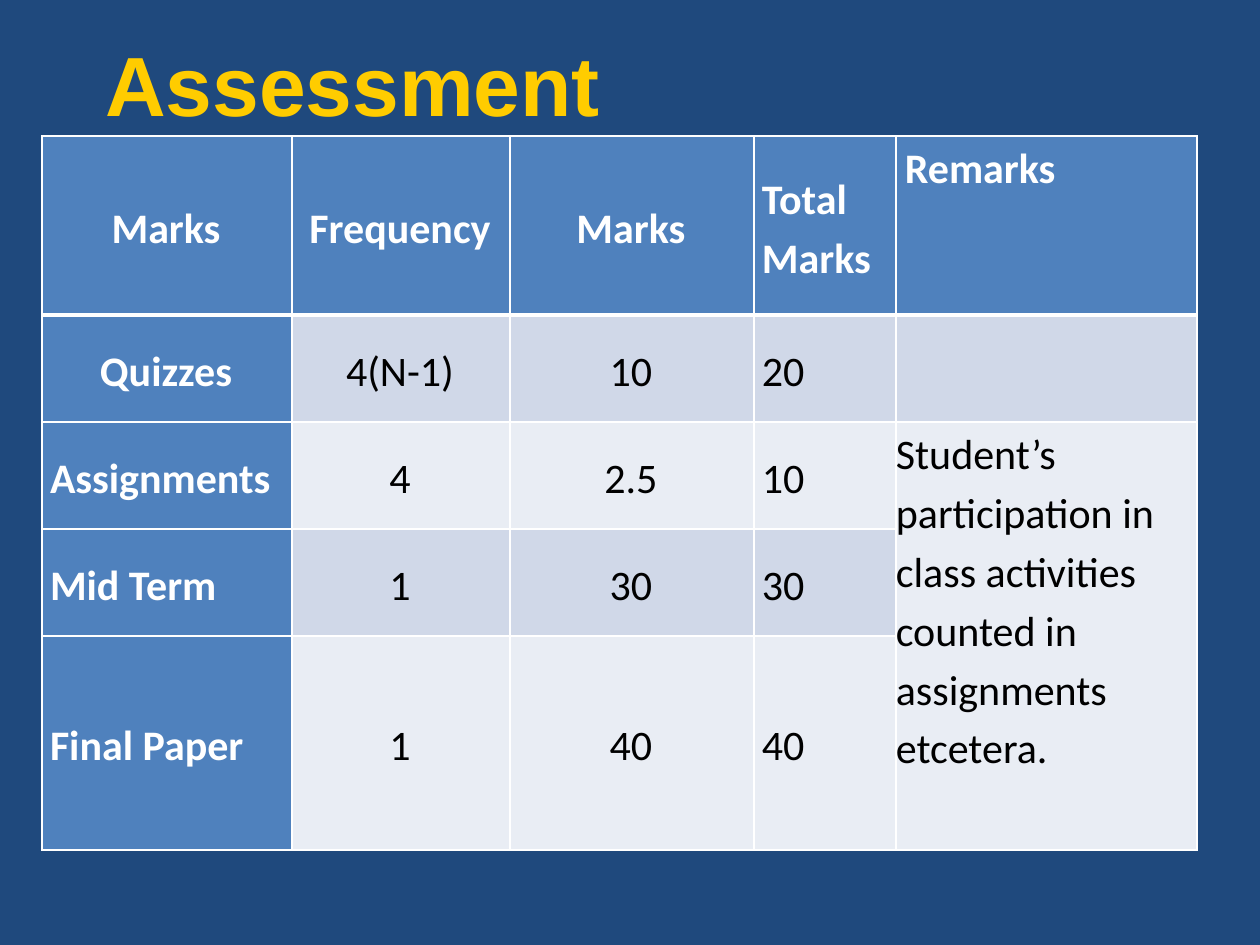
from dataclasses import dataclass

from lxml import etree
from pptx import Presentation
from pptx import util as u
from pptx.dml.color import RGBColor
from pptx.enum import text
from pptx.oxml import ns

PX_PER_INCH = 126


@dataclass(frozen=True)
class Theme:
    background: str = "1F497D"
    title: str = "FFCC00"
    header: str = "4F81BD"
    bands: tuple = ("D0D8E8", "E9EDF4")
    light: str = "FFFFFF"
    dark: str = "000000"
    title_font: str = "Arial"
    body_font: str = "Calibri"
    title_size: int = 48
    body_size: int = 24


THEME = Theme()
COLUMNS = (250, 218, 244, 142, 301)
ROWS = (179, 107, 107, 107, 214)
REMARKS = len(COLUMNS) - 1
CONTENT = (
    ("Marks", "Frequency", "Marks", "Total Marks", "Remarks"),
    ("Quizzes", "4(N-1)", "10", "20", ""),
    ("Assignments", "4", "2.5", "10",
     "Student’s participation in class activities counted in assignments etcetera."),
    ("Mid Term", "1", "30", "30", ""),
    ("Final Paper", "1", "40", "40", ""),
)


def px(length):
    return u.Emu(round(length * 914400 / PX_PER_INCH))


def set_margins(holder, left, top, right, bottom):
    holder.margin_left, holder.margin_top = px(left), px(top)
    holder.margin_right, holder.margin_bottom = px(right), px(bottom)


def add_span(para, words, font, size, color, bold):
    span = para.add_run()
    span.text = words
    span.font.name = font
    span.font.size = u.Pt(size)
    span.font.bold = bold
    span.font.color.rgb = RGBColor.from_string(color)


def add_title(slide, words):
    box = slide.shapes.add_textbox(px(105), px(32), px(499), px(104))
    frame = box.text_frame
    frame.word_wrap = True
    set_margins(frame, 0, 1, 0, 0)
    para = frame.paragraphs[0]
    add_span(para, words, THEME.title_font, THEME.title_size, THEME.title, True)


def set_borders(cell, row):
    # The rule under the header row is thicker than the others
    widths = {"L": 1, "R": 1, "T": 3 if row == 1 else 1, "B": 3 if row == 0 else 1}
    properties = cell._tc.get_or_add_tcPr()
    for side, width in widths.items():
        line = etree.SubElement(properties, ns.qn(f"a:ln{side}"), w=str(u.Pt(width)))
        fill = etree.SubElement(line, ns.qn("a:solidFill"))
        etree.SubElement(fill, ns.qn("a:srgbClr"), val=THEME.light)


def fill_cell(cell, row, column, words):
    heading = row == 0 or column == 0
    set_borders(cell, row)
    cell.fill.solid()
    color = THEME.header if heading else THEME.bands[(row - 1) % 2]
    cell.fill.fore_color.rgb = RGBColor.from_string(color)
    if not words:
        return

    # Remarks sit at the top without padding; other cells are centred vertically
    if column == REMARKS:
        set_margins(cell, 9 if heading else 0, 0, 0, 0)
    else:
        set_margins(cell, 8, 8, 10, 8)
        cell.vertical_anchor = text.MSO_ANCHOR.MIDDLE

    para = cell.text_frame.paragraphs[0]
    para.line_spacing = 1.15
    centred = column in (1, 2) or (column == 0 and row < 2)
    para.alignment = text.PP_ALIGN.CENTER if centred else text.PP_ALIGN.LEFT
    add_span(para, words, THEME.body_font, THEME.body_size,
             THEME.light if heading else THEME.dark, heading)


def add_marks_table(slide):
    table = slide.shapes.add_table(
        len(ROWS), len(COLUMNS), px(42), px(136), px(sum(COLUMNS)), px(sum(ROWS))).table
    for column, width in zip(table.columns, COLUMNS):
        column.width = px(width)
    for row, height in zip(table.rows, ROWS):
        row.height = px(height)
    for row, line in enumerate(CONTENT):
        for column, words in enumerate(line):
            fill_cell(table.cell(row, column), row, column, words)
    # One remark covers the last three rows
    table.cell(2, REMARKS).merge(table.cell(len(ROWS) - 1, REMARKS))


def main():
    deck = Presentation()
    deck.slide_width, deck.slide_height = px(1260), px(945)
    slide = deck.slides.add_slide(deck.slide_layouts[6])
    slide.background.fill.solid()
    slide.background.fill.fore_color.rgb = RGBColor.from_string(THEME.background)
    add_title(slide, "Assessment")
    add_marks_table(slide)
    deck.save("out.pptx")


if __name__ == "__main__":
    main()
